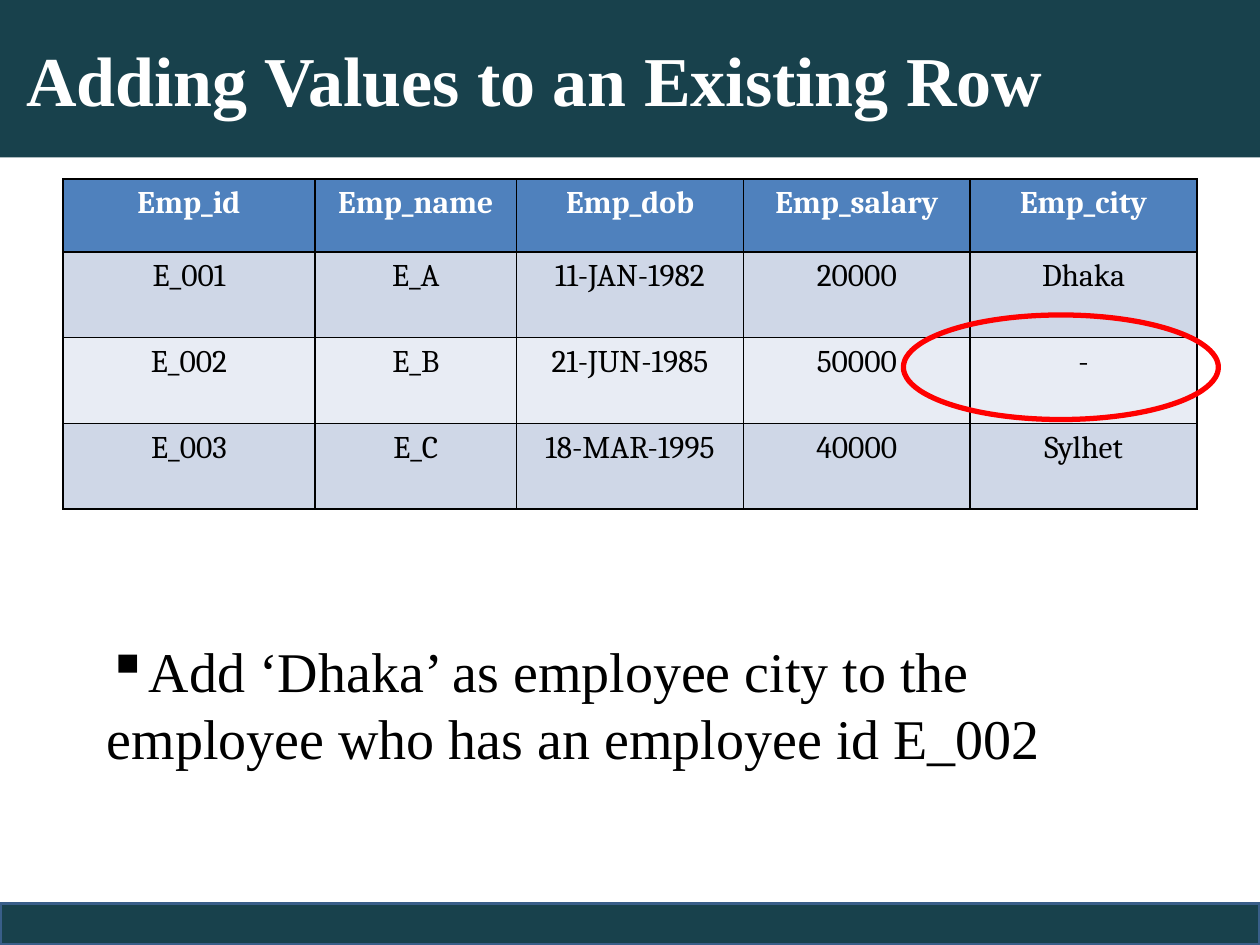
import pptx
import pptx.util
import pptx.dml.color
import pptx.enum.shapes
import pptx.enum.text
import pptx.oxml
import pptx.oxml.ns
from pptx.util import Inches

# Content
TITLE = " Adding Values to an Existing Row"
EMPLOYEES = [
    ("Emp_id", "Emp_name", "Emp_dob", "Emp_salary", "Emp_city"),
    ("E_001", "E_A", "11-JAN-1982", "20000", "Dhaka"),
    ("E_002", "E_B", "21-JUN-1985", "50000", "-"),
    ("E_003", "E_C", "18-MAR-1995", "40000", "Sylhet"),
]
TASK = "Add ‘Dhaka’ as employee city to the employee who has an employee id E_002"

# Style
COLUMN_WIDTHS = (2, 1.6, 1.8, 1.8, 1.8)
ROW_HEIGHTS = (0.58, 0.68, 0.68, 0.68)
HEADER_FILL, BAND_FILLS = "4F81BD", ("CFD7E7", "E8ECF4")
TEAL, WHITE, BLACK, RED = "18414C", "FFFFFF", "000000", "FF0000"
SERIF = "Times New Roman"


def color(value):
    return pptx.dml.color.RGBColor.from_string(value)


def paint(target, value):
    target.fill.solid()
    target.fill.fore_color.rgb = color(value)


def style_text(text_frame, font_name, size, text_color, bold=False):
    for paragraph in text_frame.paragraphs:
        for run in paragraph.runs:
            run.font.name = font_name
            run.font.size = pptx.util.Pt(size)
            run.font.bold = bold
            run.font.color.rgb = color(text_color)


def add_outlined(slide, kind, box, line_color, width):
    shape = slide.shapes.add_shape(kind, *map(Inches, box))
    shape.shadow.inherit = False
    shape.line.color.rgb = color(line_color)
    shape.line.width = pptx.util.Pt(width)
    return shape


def add_borders(cell):
    properties = cell._tc.get_or_add_tcPr()
    for position, side in enumerate(("lnL", "lnR", "lnT", "lnB")):
        properties.insert(position, pptx.oxml.parse_xml(
            f'<a:{side} {pptx.oxml.ns.nsdecls("a")} w="12700"><a:solidFill>'
            f'<a:srgbClr val="{BLACK}"/></a:solidFill></a:{side}>'))


def add_employee_table(slide):
    table = slide.shapes.add_table(
        len(EMPLOYEES), len(COLUMN_WIDTHS), Inches(0.5), Inches(1.42),
        Inches(sum(COLUMN_WIDTHS)), Inches(sum(ROW_HEIGHTS))).table
    for column, width in zip(table.columns, COLUMN_WIDTHS):
        column.width = Inches(width)
    for index, (row, height, values) in enumerate(
            zip(table.rows, ROW_HEIGHTS, EMPLOYEES)):
        row.height = Inches(height)
        header = index == 0
        for cell, value in zip(row.cells, values):
            cell.text_frame.text = value
            cell.text_frame.paragraphs[0].alignment = pptx.enum.text.PP_ALIGN.CENTER
            style_text(cell.text_frame, "Cambria", 18, WHITE if header else BLACK, header)
            paint(cell, HEADER_FILL if header else BAND_FILLS[(index - 1) % 2])
            add_borders(cell)


def add_task(slide):
    text_box = slide.shapes.add_textbox(*map(Inches, (0.75, 5, 8.75, 1.18)))
    text_frame = text_box.text_frame
    text_frame.word_wrap = True
    text_frame.auto_size = pptx.enum.text.MSO_AUTO_SIZE.SHAPE_TO_FIT_TEXT
    text_frame.text = TASK
    style_text(text_frame, SERIF, 32, BLACK)
    properties = text_frame.paragraphs[0]._p.get_or_add_pPr()
    properties.set("marL", "0")
    properties.set("indent", str(Inches(-0.22)))
    namespace = pptx.oxml.ns.nsdecls("a")
    properties.append(pptx.oxml.parse_xml(
        f'<a:buClr {namespace}><a:srgbClr val="{BLACK}"/></a:buClr>'))
    properties.append(pptx.oxml.parse_xml(f'<a:buChar {namespace} char="▪"/>'))


def main():
    presentation = pptx.Presentation()
    presentation.slide_width, presentation.slide_height = Inches(10), Inches(7.5)
    slide = presentation.slides.add_slide(presentation.slide_layouts[5])
    shapes = pptx.enum.shapes.MSO_SHAPE

    # Title band
    title = slide.shapes.title
    title.left, title.top, title.width, title.height = map(Inches, (0, 0, 10, 1.25))
    paint(title, TEAL)
    title.text_frame.text = TITLE
    title.text_frame.vertical_anchor = pptx.enum.text.MSO_ANCHOR.MIDDLE
    title.text_frame.paragraphs[0].alignment = pptx.enum.text.PP_ALIGN.LEFT
    style_text(title.text_frame, SERIF, 40, WHITE, bold=True)

    # Footer band
    footer = add_outlined(slide, shapes.RECTANGLE, (0, 7.17, 10, 0.33), "395E89", 2)
    paint(footer, TEAL)

    # Table with the missing city circled
    add_employee_table(slide)
    marker = add_outlined(slide, shapes.OVAL, (7.17, 2.5, 2.5, 0.83), RED, 3)
    marker.fill.background()

    # Task below the table
    add_task(slide)
    presentation.save("out.pptx")


if __name__ == "__main__":
    main()
